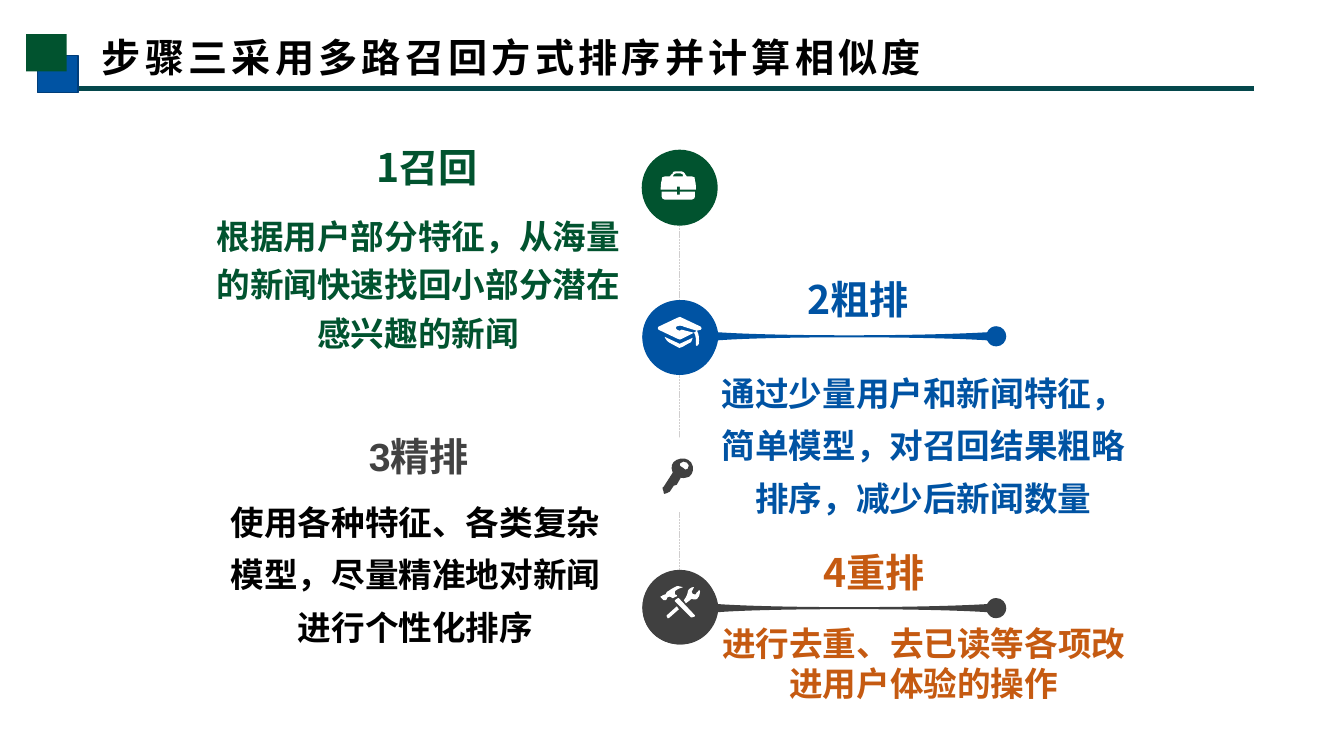
import lxml.etree
import pptx
import pptx.dml.color
import pptx.enum.dml
import pptx.enum.shapes
import pptx.enum.text
import pptx.oxml.ns
import pptx.util

Cm = pptx.util.Cm
Pt = pptx.util.Pt
MSO_SHAPE = pptx.enum.shapes.MSO_SHAPE
PP_ALIGN = pptx.enum.text.PP_ALIGN
qn = pptx.oxml.ns.qn

COLORS = {
    "green": "01532F", "blue": "0053A3", "navy": "003D79", "teal": "05484C",
    "dark": "404040", "gray": "424242", "orange": "C55A11", "dash": "D0CECE",
    "black": "000000", "white": "FFFFFF",
}
CJK = "Noto Sans CJK SC"
UNIT = Cm(0.0254)
DISC = 1.88
ARM_W = 9.17

ARM_RIGHT = [[
    (38, 72), (57, 72, 72, 58, 75, 40), (127, 36, 281, 36, 342, 40),
    (344, 44, 347, 46, 351, 46), (357, 46, 361, 41, 361, 36),
    (361, 31, 357, 26, 351, 26), (347, 26, 344, 28, 342, 32),
    (273, 36, 135, 36, 75, 32), (72, 14, 57, 0, 38, 0),
    (16, 0, 0, 16, 0, 36), (0, 56, 16, 72, 38, 72),
]]
ARM_LEFT = [[tuple(v if i % 2 else 361 - v for i, v in enumerate(seg)) for seg in ARM_RIGHT[0]]]
BRIEFCASE = [
    [(16, 15), (19, 15), (19, 18), (35, 18), (35, 18, 35, 11, 34, 9), (34, 6, 34, 5, 31, 5),
     (26, 5), (24, 3, 24, 2, 24, 2), (23, 1, 22, 0, 21, 0), (14, 0), (12, 0, 12, 1, 12, 2),
     (11, 2, 11, 3, 9, 5), (4, 5), (1, 5, 1, 6, 1, 9), (0, 11, 0, 18, 0, 18), (16, 18)],
    [(13, 3), (14, 3, 14, 2, 15, 2), (20, 2), (21, 2, 21, 3, 22, 3), (22, 5), (12, 5)],
    [(19, 23), (16, 23), (16, 20), (1, 20), (1, 25), (1, 26, 2, 28, 4, 28), (31, 28),
     (33, 28, 34, 26, 34, 25), (34, 20), (19, 20)],
]
CAP = [
    [(7, 20), (9, 24, 10, 25, 14, 27), (18, 29, 21, 31, 22, 31), (24, 31, 26, 29, 30, 27),
     (35, 25, 33, 25, 35, 21), (22, 27)],
    [(43, 10), (24, 1), (24, 0, 21, 0, 20, 1), (1, 10), (0, 11, 0, 12, 1, 13), (20, 22),
     (21, 23, 24, 23, 24, 22), (36, 16), (24, 13), (23, 13, 23, 14, 22, 14),
     (20, 14, 18, 12, 18, 11), (18, 10, 20, 9, 22, 9), (24, 9, 25, 9, 26, 10), (39, 14),
     (43, 13), (44, 12, 44, 11, 43, 10)],
    [(38, 28), (37, 29, 40, 30, 41, 27), (42, 17, 39, 14, 39, 14), (36, 16),
     (36, 16, 39, 18, 38, 28)],
]
KEY = [
    [(30, 9), (29, 3, 23, 0, 18, 1), (12, 2, 8, 6, 9, 11), (9, 12, 10, 14, 10, 15), (1, 29),
     (0, 29, 0, 30, 0, 31), (1, 34), (1, 35, 1, 36, 2, 36), (5, 35), (5, 35, 6, 34, 7, 34),
     (11, 28), (14, 27), (18, 20), (19, 21, 22, 20, 23, 20), (28, 20, 31, 14, 30, 9)],
    [(25, 11), (23, 13, 22, 12, 20, 10), (18, 9, 16, 8, 17, 6), (19, 4, 22, 3, 24, 5),
     (26, 6, 27, 9, 25, 11)],
]
TOOLS = [
    [(7, 11), (8, 10, 9, 10, 12, 12), (13, 12, 15, 10, 16, 10), (16, 9), (14, 8),
     (11, 3, 24, 1, 22, 1), (20, 0, 16, 0, 16, 0), (14, 1, 10, 3, 9, 4), (7, 5, 6, 6, 6, 6),
     (5, 6, 6, 8, 5, 8), (3, 9, 3, 8, 2, 9), (2, 10, 1, 10, 0, 10), (0, 11), (3, 14), (5, 14),
     (5, 14, 5, 13, 6, 13), (6, 13, 6, 11, 7, 11)],
    [(18, 12), (17, 12), (14, 14), (14, 15), (30, 31), (31, 31), (34, 30), (34, 29)],
    [(39, 5), (38, 3, 38, 4, 38, 4), (38, 5, 36, 6, 36, 6), (36, 8, 34, 9, 32, 8),
     (30, 6, 31, 5, 31, 5), (31, 4, 33, 2, 33, 1), (32, 1), (31, 1, 27, 3, 27, 5),
     (26, 7, 27, 9, 25, 11), (23, 14), (25, 17), (29, 14), (29, 13, 31, 12, 32, 13),
     (36, 14, 37, 12, 38, 10), (39, 8, 39, 5, 39, 5)],
    [(6, 29), (6, 30), (7, 32), (9, 31), (18, 23), (16, 20)],
]

ARMS = [
    (ARM_LEFT, DISC - ARM_W, 0.08, "white"),
    (ARM_RIGHT, 0, 10.62, "dark"),
    (ARM_RIGHT, 0, 3.77, "blue"),
]
STATIONS = [
    (0, "green", "green", BRIEFCASE, "white", 0.46, 0.53),
    (3.78, "blue", None, CAP, "white", 0.38, 0.41),
    (7.23, "white", None, KEY, "dark", 0.51, 0.51),
    (10.57, "dark", None, TOOLS, "white", 0.46, 0.41),
]
STEPS = [
    ((4.95, 3.12, 11.18, 5.83), (2.85, 5.92, 1.65), 1.99, 1.3, 1.2, CJK, "green", "green",
     "1召回", "根据用户部分特征，从海量的新闻快速找回小部分潜在感兴趣的新闻"),
    ((17.82, 6.81, 10.9, 6.3), (1.26, 5.08, 1.45), 2.16, None, 1.3, CJK, "blue", "blue",
     "2粗排", "通过少量用户和新闻特征，简单模型，对召回结果粗略排序，减少后新闻数量"),
    ((5.21, 10.41, 10.52, 5.95), (1.75, 7.19, 1.65), 1.81, 1.3, 1.3, "Arial", "gray", "black",
     "3精排", "使用各种特征、各类复杂模型，尽量精准地对新闻进行个性化排序"),
    ((17.69, 13.69, 11.18, 4.19), (1.37, 5.92, 1.45), 1.88, None, None, CJK, "orange", "orange",
     "4重排", "进行去重、去已读等各项改进用户体验的操作"),
]


def rgb(name):
    return pptx.dml.color.RGBColor.from_string(COLORS[name])


def paint(sp, fill, line=None):
    sp.shadow.inherit = False
    sp.fill.solid()
    sp.fill.fore_color.rgb = rgb(fill)
    if line:
        sp.line.color.rgb = rgb(line)
        sp.line.width = Pt(1)
    else:
        sp.line.fill.background()


def add_preset(s, kind, x, y, w, h, fill, line=None):
    paint(s.shapes.add_shape(kind, Cm(x), Cm(y), Cm(w), Cm(h)), fill, line)


def add_line(s, x1, y1, x2, y2, color, width):
    ln = s.shapes.add_connector(pptx.enum.shapes.MSO_CONNECTOR.STRAIGHT,
                                Cm(x1), Cm(y1), Cm(x2), Cm(y2))
    ln.line.color.rgb = rgb(color)
    ln.line.width = Pt(width)
    lxml.etree.SubElement(ln._element.spPr, qn("a:effectLst"))
    return ln


def add_outline(s, outlines, x, y, fill):
    fb = s.shapes.build_freeform(*outlines[0][0], scale=UNIT)
    for i, outline in enumerate(outlines):
        if i:
            fb.move_to(*outline[0])
        fb.add_line_segments([seg[-2:] for seg in outline[1:]], close=True)
    sp = fb.convert_to_shape(Cm(x), Cm(y))
    left, top = (min(seg[k] for o in outlines for seg in o) for k in (-2, -1))
    segs = [seg for o in outlines for seg in o[1:]]
    for node, seg in zip(list(sp._element.iter(qn("a:lnTo"))), segs):
        if len(seg) == 6:
            node.tag = qn("a:cubicBezTo")
            node.remove(node[0])
            for px, py in zip(seg[::2], seg[1::2]):
                lxml.etree.SubElement(node, qn("a:pt"), x=str(px - left), y=str(py - top))
    paint(sp, fill)


def add_text(s, x, y, w, h, text, size, color, font=CJK, align=PP_ALIGN.CENTER, spacing=None):
    tf = s.shapes.add_textbox(Cm(x), Cm(y), Cm(w), Cm(h)).text_frame
    tf.word_wrap = True
    tf.auto_size = pptx.enum.text.MSO_AUTO_SIZE.SHAPE_TO_FIT_TEXT
    p = tf.paragraphs[0]
    p.alignment = align
    if spacing:
        p.line_spacing = spacing
    r = p.add_run()
    r.text = text
    r.font.size = Pt(size)
    r.font.bold = True
    r.font.color.rgb = rgb(color)
    r.font.name = font
    lxml.etree.SubElement(r._r.get_or_add_rPr(), qn("a:ea")).set("typeface", CJK)
    return tf


def header(s, x, y, w):
    add_line(s, x + 0.38, y + 1.37, x + w, y + 1.37, "teal", 3)
    tf = add_text(s, x + 1.32, y - 0.15, 23.37, 2.64, "步骤三采用多路召回方式排序并计算相似度",
                  28, "black", align=PP_ALIGN.LEFT)
    tf.margin_left = Cm(0.59)
    tf.paragraphs[0].runs[0]._r.get_or_add_rPr().set("spc", "300")
    add_preset(s, MSO_SHAPE.RECTANGLE, x + 0.29, y + 0.54, 1.02, 0.94, "blue", "navy")
    add_preset(s, MSO_SHAPE.RECTANGLE, x, y, 1.02, 0.94, "green")


def timeline(s, x, y):
    mid = x + DISC / 2
    ln = add_line(s, mid, y + DISC / 2, mid, y + STATIONS[-1][0], "dash", 0.5)
    ln.line.dash_style = pptx.enum.dml.MSO_LINE.SQUARE_DOT
    for arm, dx, dy, fill in ARMS:
        add_outline(s, arm, x + dx, y + dy, fill)
    for dy, fill, line, icon, icon_fill, icon_dx, icon_dy in STATIONS:
        add_preset(s, MSO_SHAPE.OVAL, x, y + dy, DISC, DISC, fill, line)
        add_outline(s, icon, x + icon_dx, y + dy + icon_dy, icon_fill)


def step(s, box, head, body_dy, head_ls, body_ls, font, head_color, body_color, title, body):
    x, y, w, h = box
    head_dx, head_w, head_h = head
    add_text(s, x + head_dx, y, head_w, head_h, title, 28, head_color, font, spacing=head_ls)
    add_text(s, x, y + body_dy, w, h - body_dy, body, 24, body_color, font, spacing=body_ls)


def main():
    prs = pptx.Presentation()
    prs.slide_width, prs.slide_height = Cm(33.87), Cm(19.05)
    s = prs.slides.add_slide(prs.slide_layouts[6])
    timeline(s, 16.19, 3.79)
    for args in STEPS:
        step(s, *args)
    header(s, 0.66, 0.86, 30.94)
    prs.save("out.pptx")


if __name__ == "__main__":
    main()
